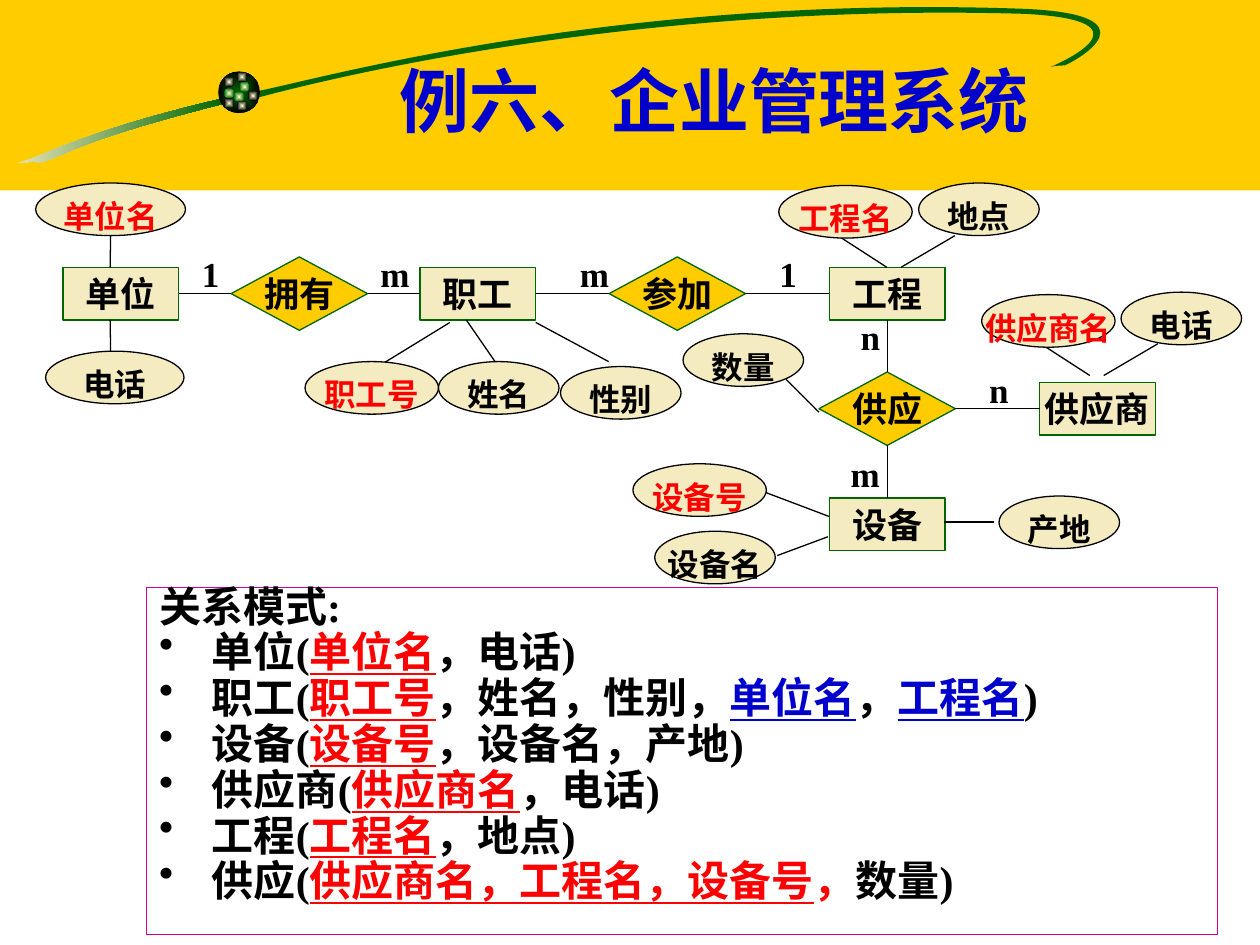
from dataclasses import dataclass
from typing import Any, NamedTuple

import lxml.etree
import pptx
import pptx.dml.color
import pptx.enum.shapes
import pptx.enum.text
import pptx.oxml.ns
import pptx.util

Cm = pptx.util.Cm
Pt = pptx.util.Pt
qn = pptx.oxml.ns.qn
Kind = pptx.enum.shapes.MSO_SHAPE
Align = pptx.enum.text.PP_ALIGN
Anchor = pptx.enum.text.MSO_ANCHOR


@dataclass(frozen=True)
class Theme:
    gold: str = "FFCC00"
    cream: str = "F5EBC1"
    green: str = "006600"
    black: str = "000000"
    white: str = "FFFFFF"
    red: str = "FF0000"
    blue: str = "0000CC"
    magenta: str = "CC0099"
    glow: str = "FFFFCC"
    latin: str = "Times New Roman"
    east_asian: str = "Noto Sans CJK JP"
    title_size: float = 40
    schema_size: float = 24
    node_size: float = 20
    attribute_size: float = 18
    line_width: float = 0.75


THEME = Theme()


class Node(NamedTuple):
    text: str
    left: float
    top: float


class Attribute(NamedTuple):
    text: str
    left: float
    top: float
    width: float = 2.43
    color: str = THEME.black


class Style(NamedTuple):
    kind: Any
    fill: str
    line: str
    size: float
    anchor: Any


class Piece(NamedTuple):
    text: str
    color: str = THEME.black
    underline: bool = False


ENTITY = Style(Kind.RECTANGLE, THEME.cream, THEME.green, THEME.node_size, Anchor.MIDDLE)
RELATION = Style(Kind.DIAMOND, THEME.gold, THEME.green, THEME.node_size, Anchor.MIDDLE)
ATTRIBUTE = Style(Kind.OVAL, THEME.cream, THEME.black, THEME.attribute_size, Anchor.TOP)
KEY = (2.69, THEME.red)
TOP, LEFT, BOTTOM, RIGHT = range(4)

ENTITIES = [Node("单位", 1.27, 5.39), Node("职工", 8.47, 5.39), Node("工程", 16.72, 5.39),
            Node("供应商", 20.96, 7.71), Node("设备", 16.72, 10.04)]
RELATIONS = [Node("拥有", 4.66, 5.18), Node("参加", 12.28, 5.18), Node("供应", 16.51, 7.5)]
LINKS = [("单位", RIGHT, "拥有", LEFT), ("拥有", RIGHT, "职工", LEFT),
         ("职工", RIGHT, "参加", LEFT), ("参加", RIGHT, "工程", LEFT),
         ("工程", BOTTOM, "供应", TOP), ("供应", BOTTOM, "设备", TOP),
         ("供应", RIGHT, "供应商", LEFT)]
LABELS = [Node("1", 3.82, 4.97), Node("m", 7.42, 4.97), Node("m", 11.44, 4.97),
          Node("1", 15.46, 4.97), Node("n", 17.1, 6.24), Node("m", 16.9, 9),
          Node("n", 19.69, 7.3)]
LABEL_WIDTHS = {"1": 0.86, "n": 0.89, "m": 1.09}
ATTRIBUTES = [
    Attribute("单位名", 0.72, 3.69, 3.02, THEME.red), Attribute("电话", 0.92, 7.08, 2.79),
    Attribute("职工号", 6.15, 7.29, *KEY), Attribute("姓名", 8.84, 7.29),
    Attribute("性别", 11.3, 7.39), Attribute("工程名", 15.7, 3.74, *KEY),
    Attribute("地点", 18.52, 3.69), Attribute("供应商名", 19.79, 5.94, *KEY),
    Attribute("电话", 22.6, 5.89), Attribute("数量", 13.77, 6.73),
    Attribute("设备号", 12.76, 9.35, *KEY), Attribute("产地", 20.14, 10),
    Attribute("设备名", 13.2, 10.71)]
ATTRIBUTE_LINES = [
    (2.22, 5.39, 2.23, 4.75), (2.22, 6.45, 2.23, 7.09), (9.4, 6.45, 9.98, 7.29),
    (9.07, 6.5, 7.7, 7.34), (10.8, 6.5, 12.27, 7.29), (19.25, 4.75, 18.16, 5.39),
    (17.88, 5.39, 16.89, 4.75), (23.34, 6.93, 22.25, 7.57), (21.97, 7.57, 20.98, 6.93),
    (16.51, 8.31, 15.85, 7.65), (16.71, 10.41, 15.44, 9.93), (16.69, 10.82, 15.67, 11.2),
    (20.04, 10.52, 19.02, 10.52)]

TAIL = [(4.52, 1.98), (2.31, 2.49), (1.24, 2.95), (0.64, 3.2), (0.03, 3.4), (0.66, 3.2),
        (0.79, 3.28), (1.45, 3.1), (1.45, 2.87), (4.55, 2.08)]
SWOOSH = [(5.13, 1.85), (6.25, 1.65), (12.34, -0.13), (20.68, 0.18), (23.29, 0.3),
          (21.77, 1.19), (21.46, 1.32), (21.46, 1.32), (21.28, 1.32), (21.18, 1.35),
          (21.44, 1.24), (23.27, 0.41), (20.65, 0.28), (13.92, 0.08), (8.13, 1.19),
          (5.23, 1.96)]
DOTS = [(4.83, 1.65, THEME.green), (4.52, 1.55, THEME.black), (4.52, 1.78, THEME.green),
        (4.72, 1.85, THEME.green), (5, 1.83, THEME.black), (4.78, 2.03, THEME.black),
        (4.52, 1.98, THEME.black), (4.78, 1.45, THEME.black)]


def key(text: str) -> Piece:
    return Piece(text, THEME.red, True)


def foreign(text: str) -> Piece:
    return Piece(text, THEME.blue, True)


SCHEMA = [
    [Piece("关系模式:")],
    [Piece("单位("), key("单位名"), Piece("，电话)")],
    [Piece("职工("), key("职工号"), Piece("，姓名，性别，"), foreign("单位名"), Piece("，"),
     foreign("工程名"), Piece(")")],
    [Piece("设备("), key("设备号"), Piece("，设备名，产地)")],
    [Piece("供应商("), key("供应商名"), Piece("，电话)")],
    [Piece("工程("), key("工程名"), Piece("，地点)")],
    [Piece("供应("), key("供应商名，工程名，设备号"), Piece("，", THEME.red), Piece("数量)")]]


def rgb(color: str) -> pptx.dml.color.RGBColor:
    return pptx.dml.color.RGBColor.from_string(color)


def apply_format(target: Any, values: dict[str, Any]) -> None:
    for name, value in values.items():
        setattr(target, name, value)


def add_run(paragraph: Any, piece: Piece, size: float, latin: str = THEME.latin) -> None:
    run = paragraph.add_run()
    run.text = piece.text
    apply_format(run.font, {"size": Pt(size), "bold": True, "name": latin,
                            "underline": piece.underline})
    run.font.color.rgb = rgb(piece.color)
    lxml.etree.SubElement(run.font._element, qn("a:ea"), {"typeface": THEME.east_asian})


def add_plain(slide: Any, kind: Any, left: float, top: float, width: float, height: float) -> Any:
    shape = slide.shapes.add_shape(kind, Cm(left), Cm(top), Cm(width), Cm(height))
    shape.shadow.inherit = False
    shape.line.fill.background()
    return shape


def paint(shape: Any, color: str) -> None:
    shape.fill.solid()
    shape.fill.fore_color.rgb = rgb(color)


def outline(line: Any, color: str) -> None:
    line.color.rgb = rgb(color)
    line.width = Pt(THEME.line_width)


def paint_gradient(shape: Any, first: str, last: str, radial: bool) -> None:
    shape.fill.gradient()
    shape.fill.gradient_angle = 0
    for stop, color, position in zip(shape.fill.gradient_stops, (first, last), (0, 1)):
        stop.color.rgb = rgb(color)
        stop.position = position
    if radial:
        gradient = shape._element.spPr.find(qn("a:gradFill"))
        gradient.remove(gradient.find(qn("a:lin")))
        center = lxml.etree.SubElement(gradient, qn("a:path"), {"path": "rect"})
        lxml.etree.SubElement(center, qn("a:fillToRect"), dict.fromkeys("ltrb", "50000"))


def add_curve(slide: Any, points: list[tuple[float, float]]) -> Any:
    start, *controls = [(Cm(x), Cm(y)) for x, y in points]
    builder = slide.shapes.build_freeform(*start)
    builder.add_line_segments(controls, close=True)
    shape = builder.convert_to_shape()
    segments = list(shape._element.spPr.iter(qn("a:lnTo")))
    for first in range(0, len(controls), 3):
        curve = lxml.etree.Element(qn("a:cubicBezTo"))
        segments[first].addprevious(curve)
        for segment in segments[first:first + 3]:
            curve.append(segment[0])
            segment.getparent().remove(segment)
    shape.shadow.inherit = False
    shape.line.fill.background()
    return shape


def add_node(slide: Any, style: Style, node: Any, width: float, height: float,
             color: str = THEME.black) -> Any:
    shape = add_plain(slide, style.kind, node.left, node.top, width, height)
    paint(shape, style.fill)
    outline(shape.line, style.line)
    apply_format(shape.text_frame, {"word_wrap": False, "vertical_anchor": style.anchor})
    paragraph = shape.text_frame.paragraphs[0]
    paragraph.alignment = Align.CENTER
    add_run(paragraph, Piece(node.text, color), style.size)
    return shape


def add_line(slide: Any, ends: tuple[float, ...]) -> Any:
    line = slide.shapes.add_connector(pptx.enum.shapes.MSO_CONNECTOR.STRAIGHT, *map(Cm, ends))
    outline(line.line, THEME.black)
    lxml.etree.SubElement(line._element.spPr, qn("a:effectLst"))
    return line


def add_header(slide: Any) -> None:
    paint(add_plain(slide, Kind.RECTANGLE, 0, 0, 25.4, 3.84), THEME.gold)
    paint_gradient(add_curve(slide, TAIL), THEME.cream, THEME.green, False)
    paint(add_curve(slide, SWOOSH), THEME.green)
    ball = add_plain(slide, Kind.OVAL, 4.4, 1.44, 0.84, 0.84)
    paint_gradient(ball, THEME.green, THEME.black, True)
    for left, top, edge in DOTS:
        paint_gradient(add_plain(slide, Kind.OVAL, left, top, 0.2, 0.2), THEME.glow, edge, True)
    veil = add_plain(slide, Kind.RECTANGLE, 1.88, 5.23, 3.1, 13.82)
    paint(veil, THEME.white)
    color = next(veil._element.spPr.iter(qn("a:srgbClr")))
    lxml.etree.SubElement(color, qn("a:alpha"), {"val": "50000"})
    title = slide.shapes.title
    apply_format(title, {"left": Cm(3.6), "top": Cm(0.42), "width": Cm(21.59), "height": Cm(3.17)})
    title.text_frame.vertical_anchor = Anchor.MIDDLE
    paragraph = title.text_frame.paragraphs[0]
    paragraph.alignment = Align.CENTER
    add_run(paragraph, Piece("例六、企业管理系统", THEME.blue), THEME.title_size, THEME.east_asian)
    slide.shapes._spTree.append(title._element)


def add_schema(slide: Any) -> None:
    box = slide.shapes.add_textbox(Cm(2.96), Cm(11.85), Cm(21.59), Cm(6.99))
    outline(box.line, THEME.magenta)
    frame = box.text_frame
    frame.word_wrap = True
    for index, pieces in enumerate(SCHEMA):
        paragraph = frame.add_paragraph() if index else frame.paragraphs[0]
        apply_format(paragraph, {"line_spacing": 0.7, "space_before": Pt(6)})
        properties = paragraph._element.get_or_add_pPr()
        properties.set("marL", str(Cm(1.06)))
        properties.set("indent", str(Cm(-1.06)))
        if index:
            lxml.etree.SubElement(properties, qn("a:buChar"), {"char": "•"})
        for piece in pieces:
            add_run(paragraph, piece, THEME.schema_size)


def add_diagram(slide: Any) -> None:
    nodes = {node.text: add_node(slide, ENTITY, node, 2.33, 1.06) for node in ENTITIES}
    nodes |= {node.text: add_node(slide, RELATION, node, 2.75, 1.48) for node in RELATIONS}
    for source, source_side, target, target_side in LINKS:
        line = add_line(slide, (0, 0, 0, 0))
        line.begin_connect(nodes[source], source_side)
        line.end_connect(nodes[target], target_side)
    for label in LABELS:
        box = slide.shapes.add_textbox(Cm(label.left), Cm(label.top),
                                       Cm(LABEL_WIDTHS[label.text]), Cm(1.12))
        box.text_frame.word_wrap = False
        add_run(box.text_frame.paragraphs[0], Piece(label.text), THEME.node_size)
    for ends in ATTRIBUTE_LINES:
        add_line(slide, ends)
    for attribute in ATTRIBUTES:
        add_node(slide, ATTRIBUTE, attribute, attribute.width, 1.06, attribute.color)


def main() -> None:
    presentation = pptx.Presentation()
    apply_format(presentation, {"slide_width": Cm(25.4), "slide_height": Cm(19.05)})
    slide = presentation.slides.add_slide(presentation.slide_layouts[5])
    add_header(slide)
    add_schema(slide)
    add_diagram(slide)
    presentation.save("out.pptx")


if __name__ == "__main__":
    main()
